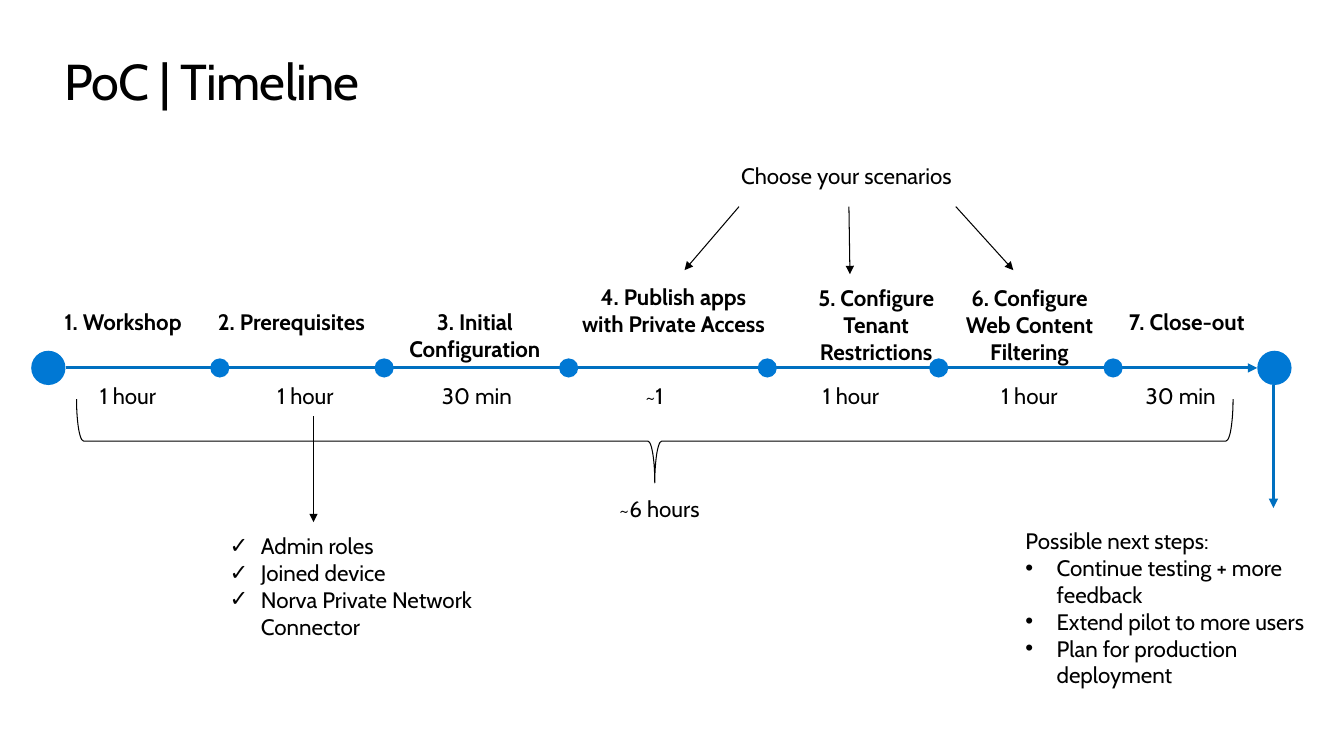
from lxml import etree
from pptx import Presentation
from pptx.dml.color import RGBColor
from pptx.enum.shapes import MSO_CONNECTOR as CONN, MSO_SHAPE as SHAPE
from pptx.enum.text import PP_ALIGN as ALIGN
from pptx.oxml.ns import qn
from pptx.util import Inches, Pt

FONT = "Cabin"
BLACK = RGBColor(0x00, 0x00, 0x00)
DOT_BLUE = RGBColor(0x00, 0x78, 0xD4)
LINE_BLUE = RGBColor(0x00, 0x70, 0xC0)

BODY_SIZE = 16
LINE_H = 0.27
INSET = 0.1
END_SIZE = 0.34
DOT_SIZE = 0.19

# name, its centre, top and width, then duration and its centre; x is slide-wide
STEPS = [
    ("1. Workshop", 1.22, 3.01, 1.54, "1 hour", 1.27),
    ("2. Prerequisites", 2.89, 3.01, 1.82, "1 hour", 3.03),
    ("3. Initial\nConfiguration", 4.71, 3.01, 1.74, "30 min", 4.73),
    ("4. Publish apps with Private Access", 6.68, 2.76, 2.1, "~1", 6.49),
    ("5. Configure Tenant Restrictions", 8.69, 2.77, 1.89, "1 hour", 8.44),
    ("6. Configure Web Content Filtering", 10.21, 2.77, 1.75, "1 hour", 10.21),
    ("7. Close-out", 11.77, 3.01, 1.75, "30 min", 11.71),
]
DOT_CENTERS = [2.18, 3.81, 5.64, 7.61, 9.31, 11.04]


def add_bullet(p, char):
    pPr = p._p.get_or_add_pPr()
    pPr.set("marL", str(Inches(0.31)))
    pPr.set("indent", str(Inches(-0.31)))
    etree.SubElement(pPr, qn("a:buFont")).set("typeface", "Arial")
    etree.SubElement(pPr, qn("a:buChar")).set("char", char)


def add_text(s, box, lines, size=BODY_SIZE, bold=False, align=ALIGN.CENTER,
             inset=INSET, spacing=None):
    """Lines are plain strings or (bullet, string) pairs."""
    tf = s.shapes.add_textbox(*map(Inches, box)).text_frame
    tf.word_wrap = True
    tf.margin_left = tf.margin_right = Inches(inset)
    tf.margin_top = tf.margin_bottom = Inches(inset / 2)
    for i, line in enumerate(lines):
        p = tf.add_paragraph() if i else tf.paragraphs[0]
        p.alignment = align
        bullet, text = line if isinstance(line, tuple) else (None, line)
        if bullet:
            add_bullet(p, bullet)
        r = p.add_run()
        r.text = text
        r.font.name, r.font.size, r.font.bold = FONT, Pt(size), bold
        r.font.color.rgb = BLACK
        if spacing:
            r._r.get_or_add_rPr().set("spc", str(int(spacing * 100)))


def add_arrow(s, start, end, color=BLACK, width=0.75):
    c = s.shapes.add_connector(CONN.STRAIGHT, *map(Inches, (*start, *end)))
    c.line.color.rgb = color
    c.line.width = Pt(width)
    etree.SubElement(c.line._get_or_add_ln(), qn("a:tailEnd")).set("type", "triangle")
    etree.SubElement(c._element.spPr, qn("a:effectLst"))


def add_dot(s, x, y, size):
    """Circle centred on x, y."""
    box = (x - size / 2, y - size / 2, size, size)
    sp = s.shapes.add_shape(SHAPE.OVAL, *map(Inches, box))
    sp.shadow.inherit = False
    sp.fill.solid()
    sp.fill.fore_color.rgb = DOT_BLUE
    sp.line.fill.background()


def add_axis(s, left, y, width):
    right = left + width
    add_arrow(s, (left + END_SIZE, y), (right - END_SIZE, y), LINE_BLUE, 2.25)
    for x in (left + END_SIZE / 2, right - END_SIZE / 2):
        add_dot(s, x, y, END_SIZE)
    for x in DOT_CENTERS:
        add_dot(s, x, y, DOT_SIZE)


def add_steps(s, axis_y):
    """Step names above the axis, durations just below it."""
    for name, center, top, width, duration, duration_center in STEPS:
        add_text(s, (center - width / 2, top, width, axis_y - top),
                 name.split("\n"), bold=True)
        add_text(s, (duration_center - 0.65, axis_y + 0.09, 1.3, 0.37), [duration])


def add_total(s, left, top, width, height):
    """Brace opening upwards, with the total duration under its tip."""
    cx, cy = left + width / 2, top + height / 2
    box = (cx - height / 2, cy - width / 2, height, width)
    sp = s.shapes.add_shape(SHAPE.LEFT_BRACE, *map(Inches, box))
    sp.rotation = 270
    sp.shadow.inherit = False
    sp.fill.background()
    sp.line.color.rgb = BLACK
    sp.line.width = Pt(0.75)
    add_text(s, (cx - 0.97, top + height + 0.07, 2.03, 0.37), ["~6 hours"])


def add_scenarios(s, left, top, width):
    add_text(s, (left, top, width, 0.37), ["Choose your scenarios"])
    y = top + 0.49
    for start, end, drop in ((0.36, -0.18, 0.63), (1.45, 1.46, 0.67), (2.51, 3.08, 0.63)):
        add_arrow(s, (left + start, y), (left + end, y + drop))


def add_prerequisites(s, left, top, width):
    x = left + 0.93
    add_arrow(s, (x, top - 1.1), (x, top - 0.05))
    items = ["Admin roles", "Joined device", "Norva Private Network Connector"]
    add_text(s, (left, top, width, 4 * LINE_H + INSET),
             [("✓", item) for item in items], align=ALIGN.LEFT)


def add_next_steps(s, left, top, width):
    x = left + 2.46
    add_arrow(s, (x, top - 1.41), (x, top - 0.19), LINE_BLUE, 2.25)
    items = ["Continue testing + more feedback", "Extend pilot to more users",
             "Plan for production deployment"]
    add_text(s, (left, top, width, 6 * LINE_H),
             ["Possible next steps:"] + [("•", item) for item in items],
             align=ALIGN.LEFT, inset=0)


def main():
    prs = Presentation()
    prs.slide_width, prs.slide_height = Inches(13.33), Inches(7.5)
    s = prs.slides.add_slide(prs.slide_layouts[6])
    axis_y = 3.65
    add_text(s, (0.64, 0.5, 12.05, 0.61), ["PoC | Timeline"], size=36,
             align=ALIGN.LEFT, inset=0, spacing=-0.5)
    add_axis(s, 0.31, axis_y, 12.5)
    add_steps(s, axis_y)
    add_total(s, 0.76, 3.96, 11.47, 0.83)
    add_scenarios(s, 6.97, 1.56, 2.85)
    add_prerequisites(s, 2.18, 5.23, 2.66)
    add_next_steps(s, 10.17, 5.23, 3.09)
    prs.save("out.pptx")


if __name__ == "__main__":
    main()
